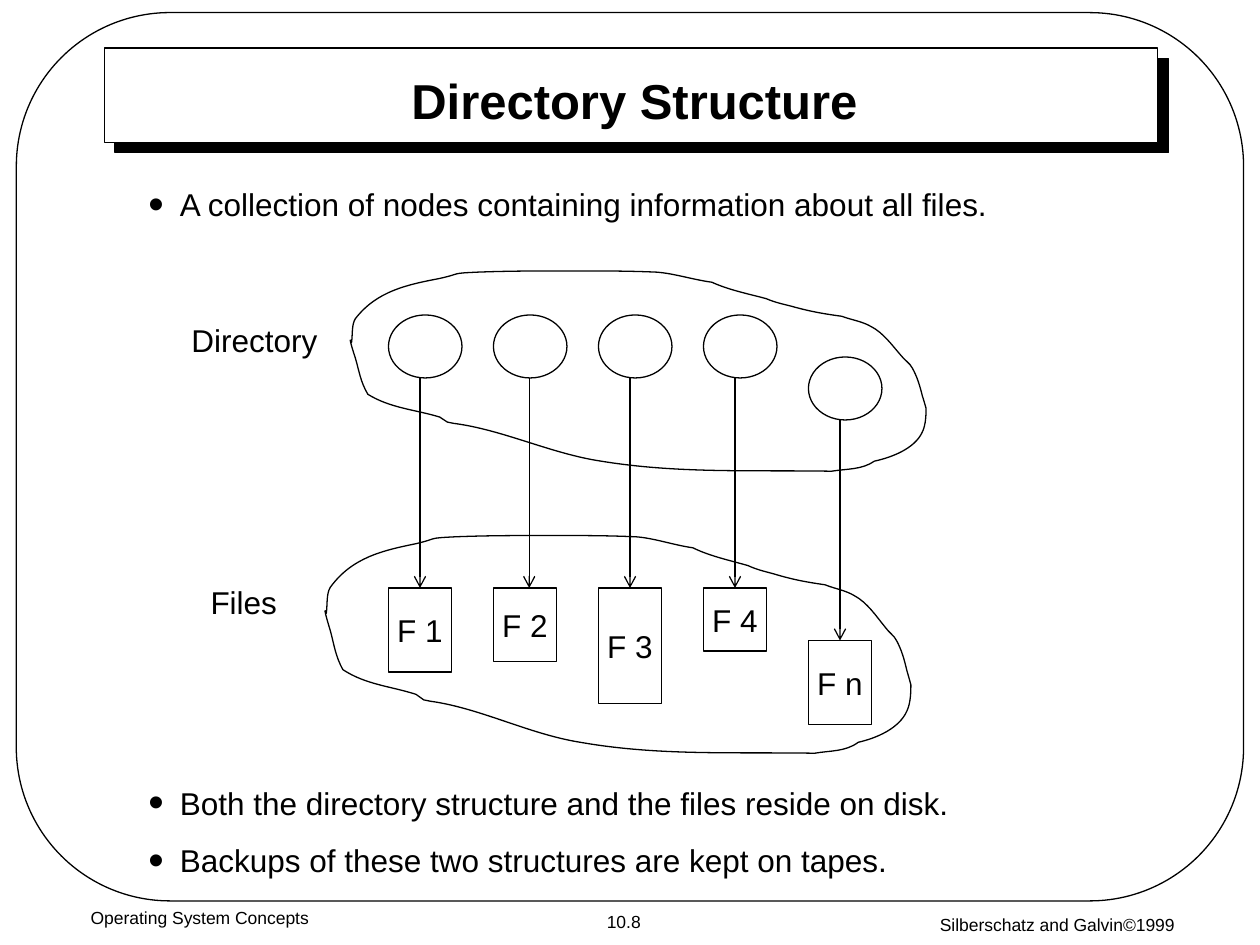
from lxml import etree
from pptx import Presentation, util as u
from pptx.dml.color import RGBColor
from pptx.enum import shapes, text
from pptx.oxml.ns import qn

WIDTH, HEIGHT = 10, 7.5
COLUMN = WIDTH / 12
BLACK, WHITE = "000000", "FFFFFF"
SHAPE, ALIGN, ANCHOR = shapes.MSO_SHAPE, text.PP_ALIGN, text.MSO_ANCHOR

TITLE = "Directory Structure"
INTRO = ["A collection of nodes containing information about all files."]
NOTES = ["Both the directory structure and the files reside on disk.",
         "Backups of these two structures are kept on tapes."]
FOOTERS = [
    ([("Silberschatz and Galvin©1999", 10, "Arial"), (" ", 14, "Times New Roman")],
     (6.83, 7.15, 3.17, 0.35), ANCHOR.TOP),
    ([("10.8", 10, "Arial")], (4.44, 7.18, 1.02, 0.27), ANCHOR.MIDDLE),
    ([("Operating System Concepts", 10, "Arial")], (0, 7.15, 3.17, 0.35), ANCHOR.TOP),
]
LABELS = [("Directory", (1.42, 2.5, 1.2, 0.4)), ("Files", (1.57, 4.58, 0.73, 0.4))]

# name, node top, file top, file height, arrow offset, all in columns
FILES = [("F 1", 3, 5.6, 0.8, 0.3), ("F 2", 3, 5.6, 0.7, 0.34),
         ("F 3", 3, 5.6, 1.1, 0.3), ("F 4", 3, 5.6, 0.6, 0.3),
         ("F n", 3.4, 6.1, 0.8, 0.3)]
FIRST_LEFT, NODE_WIDTH, NODE_HEIGHT, FILE_WIDTH = 3.7, 0.7, 0.6, 0.6

DIRECTORY_CLOUD = (2.78, 2.15, 4.58, 1.61)
FILES_CLOUD = (2.58, 4.25, 4.66, 1.75)
CLOUD_START = (2.79, 2.72)
CLOUD_CURVES = [
    ((2.8, 2.65), (2.79, 2.58), (2.82, 2.53)), ((2.99, 2.31), (3.23, 2.26), (3.49, 2.21)),
    ((3.67, 2.17), (3.57, 2.17), (3.79, 2.16)), ((4.04, 2.15), (4.29, 2.15), (4.55, 2.15)),
    ((4.77, 2.15), (4.99, 2.15), (5.21, 2.16)), ((5.35, 2.17), (5.5, 2.22), (5.65, 2.24)),
    ((5.78, 2.3), (5.93, 2.33), (6.08, 2.37)), ((6.15, 2.4), (6.2, 2.41), (6.28, 2.43)),
    ((6.42, 2.47), (6.53, 2.49), (6.68, 2.51)), ((6.76, 2.54), (6.84, 2.55), (6.91, 2.59)),
    ((7.01, 2.64), (7.08, 2.74), (7.15, 2.82)), ((7.18, 2.86), (7.22, 2.88), (7.24, 2.92)),
    ((7.28, 2.99), (7.3, 3.06), (7.32, 3.14)), ((7.33, 3.17), (7.35, 3.24), (7.35, 3.24)),
    ((7.35, 3.28), (7.35, 3.37), (7.32, 3.43)), ((7.26, 3.56), (7.08, 3.63), (6.94, 3.66)),
    ((6.84, 3.73), (6.72, 3.72), (6.6, 3.74)), ((5.96, 3.73), (5.38, 3.76), (4.77, 3.66)),
    ((4.37, 3.6), (3.99, 3.41), (3.6, 3.36)), ((3.58, 3.36), (3.57, 3.35), (3.55, 3.35)),
    ((3.53, 3.34), (3.51, 3.32), (3.49, 3.31)), ((3.29, 3.25), (3.1, 3.24), (2.92, 3.13)),
    ((2.86, 3.03), (2.85, 2.94), (2.82, 2.84)), ((2.82, 2.84), (2.78, 2.72), (2.78, 2.7)),
    ((2.78, 2.69), (2.79, 2.71), (2.79, 2.72)),
]


def color(code):
    return RGBColor.from_string(code)


def inches(values):
    return [u.Inches(value) for value in values]


def columns(*values):
    return [value * COLUMN for value in values]


def child(parent, tag, **attributes):
    return etree.SubElement(parent, qn(tag), attributes)


def outline(item):
    item.line.color.rgb = color(BLACK)
    item.line.width = u.Pt(0.75)


def add_run(paragraph, words, size=18, face="Arial", bold=False):
    run = paragraph.add_run()
    run.text = words
    run.font.size, run.font.name, run.font.bold = u.Pt(size), face, bold
    run.font.color.rgb = color(BLACK)


def add_box(slide, kind, place, fill=WHITE):
    box = slide.shapes.add_shape(kind, *inches(place))
    box.shadow.inherit = False
    if fill:
        box.fill.solid()
        box.fill.fore_color.rgb = color(fill)
    else:
        box.fill.background()
    outline(box)
    return box


def write(box, runs, anchor=ANCHOR.MIDDLE, wrap=False):
    frame = box.text_frame
    frame.word_wrap, frame.vertical_anchor = wrap, anchor
    paragraph = frame.paragraphs[0]
    paragraph.alignment = ALIGN.CENTER
    for run in runs:
        add_run(paragraph, *run)


def add_bullets(slide, lines, place):
    frame = slide.shapes.add_textbox(*inches(place)).text_frame
    frame.word_wrap = True
    for index, line in enumerate(lines):
        paragraph = frame.add_paragraph() if index else frame.paragraphs[0]
        paragraph.space_before = u.Pt(11.2)
        add_run(paragraph, line)
        props = paragraph._p.get_or_add_pPr()
        props.set("marL", str(u.Inches(0.25)))
        props.set("indent", str(-u.Inches(0.25)))
        child(child(props, "a:buClr"), "a:srgbClr", val=BLACK)
        child(props, "a:buSzPct", val="140000")
        child(props, "a:buFont", typeface="Arial")
        child(props, "a:buChar", char="•")


def add_arrow(slide, x, top, bottom):
    arrow = slide.shapes.add_connector(shapes.MSO_CONNECTOR.STRAIGHT,
                                       *inches((x, top, x, bottom)))
    outline(arrow)
    child(arrow.line._get_or_add_ln(), "a:tailEnd", type="arrow")
    child(arrow._element.spPr, "a:effectLst")


def add_cloud(slide, place):
    left, top, width, height = DIRECTORY_CLOUD
    builder = slide.shapes.build_freeform(*CLOUD_START, scale=u.Inches(1))
    builder.add_line_segments([curve[-1] for curve in CLOUD_CURVES], close=True)
    cloud = builder.convert_to_shape()
    cloud.left, cloud.top, cloud.width, cloud.height = inches(place)
    cloud.shadow.inherit = False
    cloud.fill.background()
    outline(cloud)

    track = next(cloud._element.iter(qn("a:path")))
    track.set("w", str(u.Inches(width)))
    track.set("h", str(u.Inches(height)))
    steps = [("a:moveTo", [CLOUD_START])]
    steps += [("a:cubicBezTo", curve) for curve in CLOUD_CURVES]
    for old, (tag, points) in zip(list(track), steps):
        new = etree.Element(qn(tag))
        for x, y in points:
            child(new, "a:pt", x=str(u.Inches(x - left)), y=str(u.Inches(y - top)))
        track.replace(old, new)


def main():
    deck = Presentation()
    deck.slide_width, deck.slide_height = inches((WIDTH, HEIGHT))
    slide = deck.slides.add_slide(deck.slide_layouts[6])

    border = add_box(slide, SHAPE.ROUNDED_RECTANGLE, (0.13, 0.1, 9.74, 7.05), fill=None)
    border.adjustments[0] = 0.173
    for runs, place, anchor in FOOTERS:
        write(slide.shapes.add_textbox(*inches(place)), runs, anchor,
              wrap=anchor == ANCHOR.TOP)

    banner = add_box(slide, SHAPE.RECTANGLE, (0.83, 0.38, 8.36, 0.75))
    effects = banner._element.spPr.find(qn("a:effectLst"))
    shadow = child(effects, "a:outerShdw", dist=str(u.Pt(8.5)), dir="2700000",
                   algn="ctr", rotWithShape="0")
    child(shadow, "a:srgbClr", val=BLACK)
    write(slide.shapes.add_textbox(*inches((1.27, 0.54, 7.53, 0.5))),
          [(TITLE, 28, "Arial", True)], wrap=True)
    add_bullets(slide, INTRO, (1.08, 1.42, 7.69, 0.42))

    for index, (name, node_top, file_top, file_height, offset) in enumerate(FILES):
        left = FIRST_LEFT + index
        add_box(slide, SHAPE.OVAL, columns(left, node_top, NODE_WIDTH, NODE_HEIGHT))
        file_box = add_box(slide, SHAPE.RECTANGLE,
                           columns(left, file_top, FILE_WIDTH, file_height))
        write(file_box, [(name,)])
        add_arrow(slide, *columns(left + offset, node_top + NODE_HEIGHT, file_top))

    for place in (DIRECTORY_CLOUD, FILES_CLOUD):
        add_cloud(slide, place)
    for label, place in LABELS:
        write(slide.shapes.add_textbox(*inches(place)), [(label,)])
    add_bullets(slide, NOTES, (1.08, 6.17, 7.69, 0.42))
    deck.save("out.pptx")


if __name__ == "__main__":
    main()
